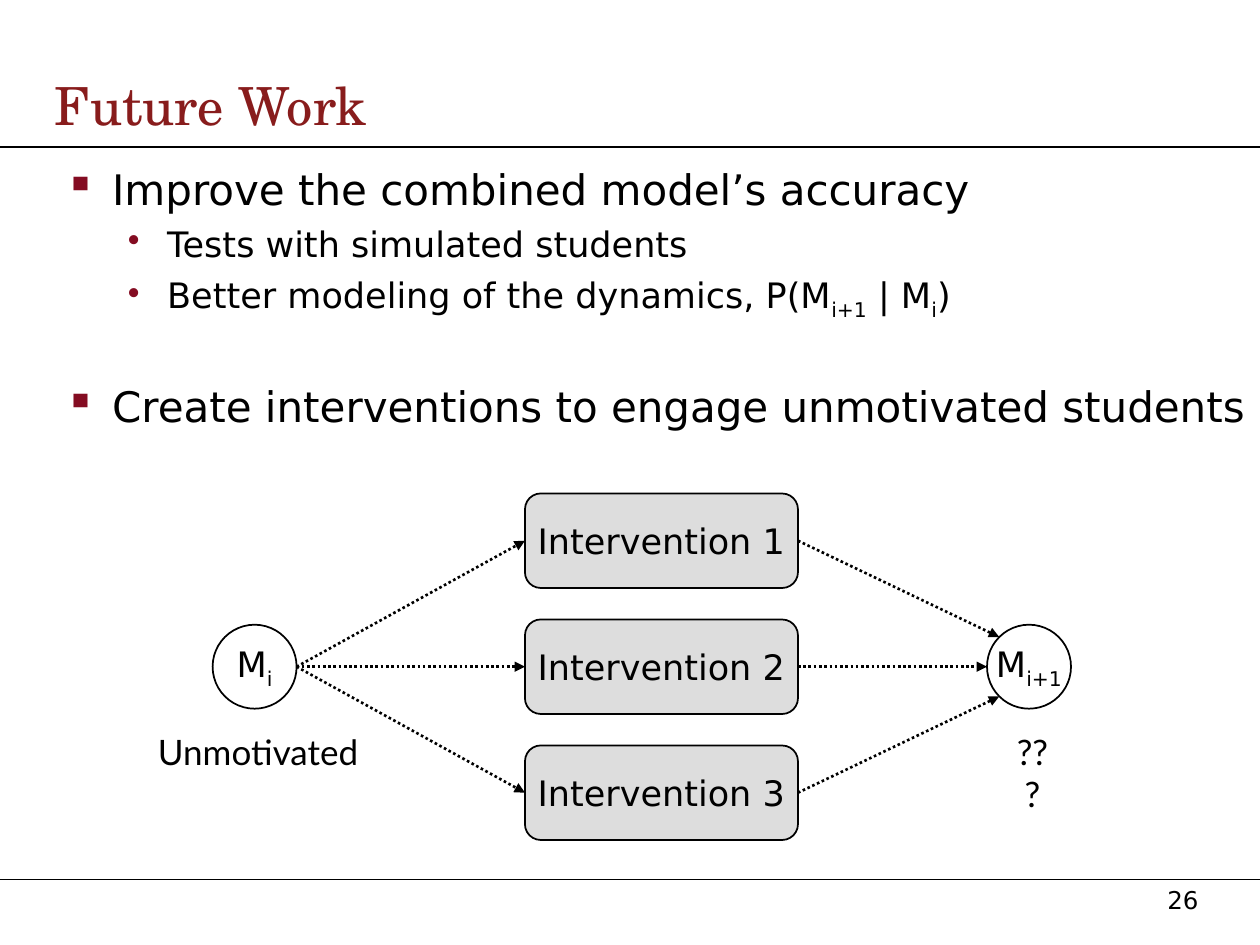
from lxml import etree
from pptx import Presentation, util as u
from pptx.dml.color import RGBColor
from pptx.enum import dml, shapes, text
from pptx.oxml.ns import qn

Pt = u.Pt
BLACK = RGBColor(0x00, 0x00, 0x00)
GREY = RGBColor(0xDD, 0xDD, 0xDD)
RED = RGBColor(0x88, 0x1C, 0x1C)
WINE = RGBColor(0x84, 0x0C, 0x22)
SANS, SERIF, LATO = "DejaVu Sans", "TeX Gyre Schola", "Lato"
LEFT, MID = text.PP_ALIGN.LEFT, text.PP_ALIGN.CENTER


def style(para, size, face=SANS, color=BLACK):
    font = para.font
    font.size, font.name = Pt(size), face
    font.color.rgb = color


def write(para, parts):
    for i, part in enumerate(parts):
        run = para.add_run()
        run.text = part
        if i % 2:
            run.font._element.set("baseline", "-25000")


def label(slide, box, words, size, face=SANS, color=BLACK, align=LEFT, wrap=True):
    frame = slide.shapes.add_textbox(*map(Pt, box)).text_frame
    frame.word_wrap = wrap
    para = frame.paragraphs[0]
    para.alignment = align
    write(para, [words])
    style(para, size, face, color)
    return frame


def bullet(para, parts, sign, size, left, hang, gap):
    props = para._p.get_or_add_pPr()
    props.set("marL", str(Pt(left)))
    props.set("indent", str(Pt(-hang)))
    tint = etree.SubElement(props, qn("a:buClr"))
    etree.SubElement(tint, qn("a:srgbClr")).set("val", str(WINE))
    etree.SubElement(props, qn("a:buChar")).set("char", sign)
    para.space_before = Pt(gap)
    write(para, parts)
    style(para, size)


def node(slide, kind, box, parts, fill=None):
    shape = slide.shapes.add_shape(kind, *map(Pt, box))
    shape.shadow.inherit = False
    if fill is None:
        shape.fill.background()
    else:
        shape.fill.solid()
        shape.fill.fore_color.rgb = fill
    shape.line.color.rgb = BLACK
    shape.line.width = Pt(1)
    frame = shape.text_frame
    frame.word_wrap = False
    frame.vertical_anchor = text.MSO_ANCHOR.MIDDLE
    para = frame.paragraphs[0]
    para.alignment = MID
    write(para, parts)
    style(para, 20)
    return shape


def line(slide, start, end, width=1):
    link = slide.shapes.add_connector(
        shapes.MSO_CONNECTOR.STRAIGHT, *map(Pt, start + end))
    link.line.color.rgb = BLACK
    link.line.width = Pt(width)
    etree.SubElement(link._element.spPr, qn("a:effectLst"))
    return link


def arrow(slide, start, end):
    link = line(slide, start, end, 1.5)
    link.line.dash_style = dml.MSO_LINE.ROUND_DOT
    tail = etree.SubElement(link.line._get_or_add_ln(), qn("a:tailEnd"))
    tail.set("type", "triangle")
    return link


def points(slide):
    frame = slide.shapes.add_textbox(Pt(30), Pt(90), Pt(690), Pt(408)).text_frame
    frame.word_wrap = True
    top = ("▪", 24, 27, 27)
    sub = ("•", 20, 58.5, 22.5)
    items = [
        (["Improve the combined model’s accuracy"], top, 0),
        (["Tests with simulated students"], sub, 5),
        (["Better modeling of the dynamics, P(M", "i+1", " | M", "i", ")"], sub, 5),
        (["Create interventions to engage unmotivated students"], top, 34),
    ]
    for i, (parts, look, gap) in enumerate(items):
        para = frame.add_paragraph() if i else frame.paragraphs[0]
        bullet(para, parts, *look, gap)


def diagram(slide):
    kind = shapes.MSO_SHAPE
    mid, size = 381, 48
    west, east = 121.5, 564
    node(slide, kind.OVAL, (west, mid - size / 2, size, size), ["M", "i"])
    node(slide, kind.OVAL, (east, mid - size / 2, size, size), ["M", "i+1"])
    label(slide, (79, 414, 137, 32), "Unmotivated", 20, LATO, align=MID, wrap=False)
    label(slide, (570, 414, 40, 32), "???", 20, LATO, align=MID)
    for i in range(3):
        row = i - 1
        y = mid + 72 * row
        box = node(slide, kind.ROUNDED_RECTANGLE, (300, y - 27, 156, 54),
                   [f"Intervention {i + 1}"], GREY)
        arrow(slide, (west + size, mid), (300, y)).end_connect(box, 1)
        goal = (east + 7 * abs(row), mid + 17 * row)
        arrow(slide, (456, y), goal).begin_connect(box, 3)


def main():
    deck = Presentation()
    deck.slide_width, deck.slide_height = Pt(720), Pt(540)
    slide = deck.slides.add_slide(deck.slide_layouts[6])
    for y in (84, 502.5):
        line(slide, (0, y), (720, y))
    label(slide, (660, 502, 48, 27), "26", 14)
    title = label(slide, (24, 39, 696, 42), "Future Work", 30, SERIF, RED)
    title.vertical_anchor = text.MSO_ANCHOR.MIDDLE
    points(slide)
    diagram(slide)
    deck.save("out.pptx")


if __name__ == "__main__":
    main()
